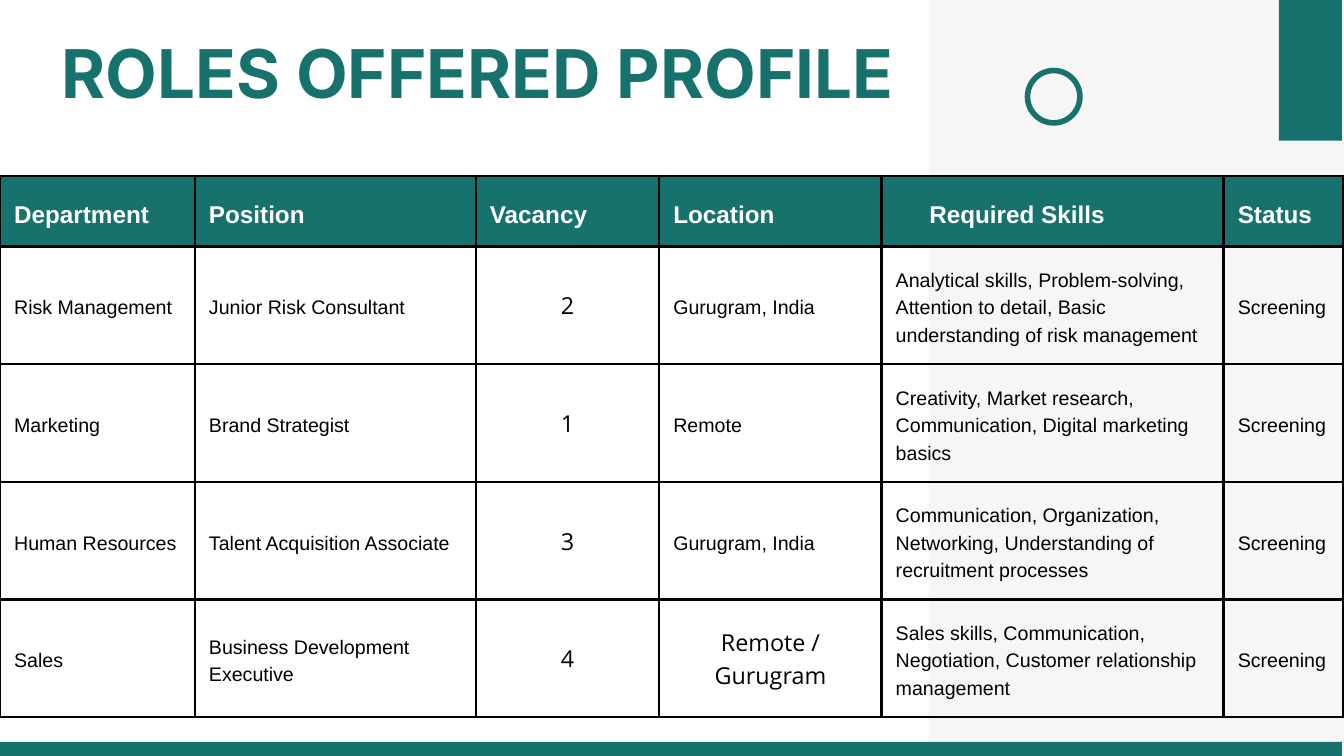
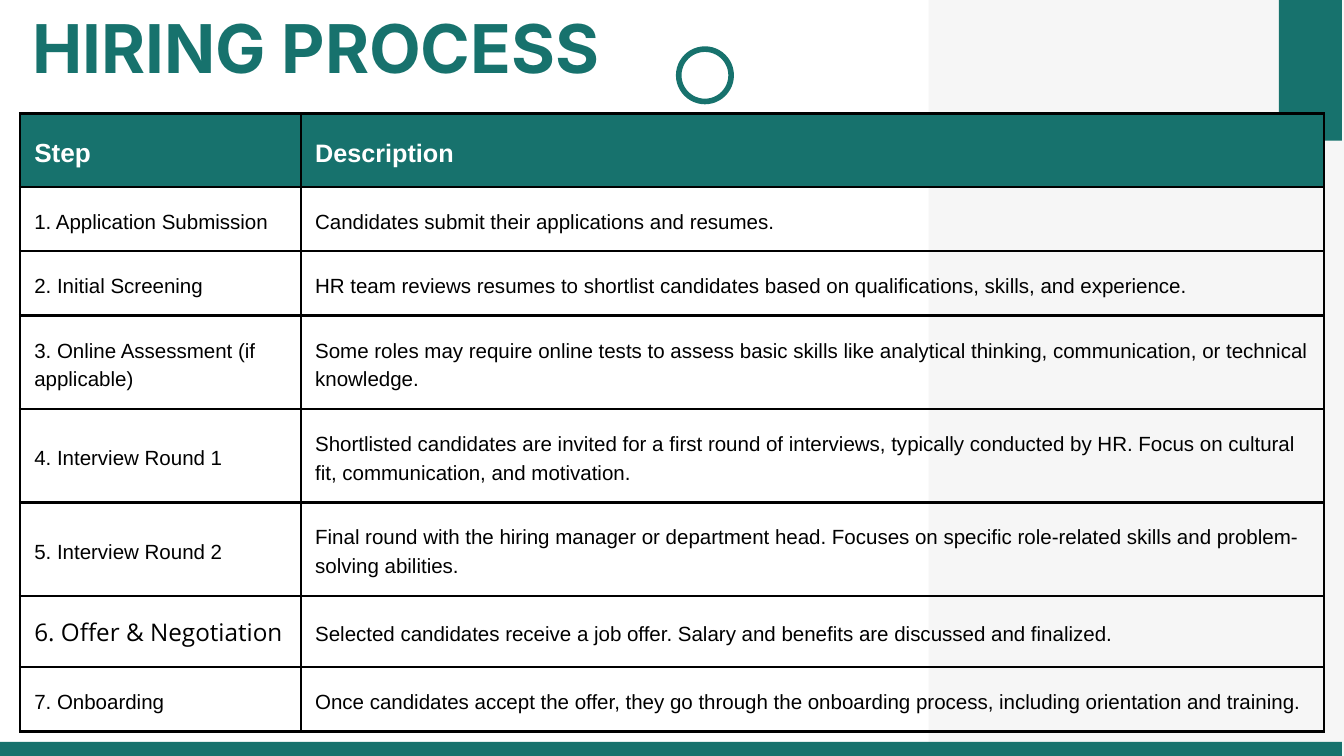
from dataclasses import dataclass

from lxml.etree import SubElement
from pptx import Presentation
from pptx.dml.color import RGBColor
from pptx.enum.shapes import MSO_SHAPE as Preset
from pptx.enum.text import MSO_ANCHOR as Anchor, PP_ALIGN as Align
from pptx.oxml.ns import qn
from pptx.util import Inches, Pt


@dataclass(frozen=True)
class Theme:
    """Colours, fonts and sizes shared by every slide."""

    accent: str = "17726D"
    panel: str = "F6F6F6"
    ink: str = "000000"
    paper: str = "FFFFFF"
    title_font: str = "Inter"
    table_font: str = "Arial"
    accent_font: str = "Open Sans"
    title_size: float = 72
    title_leading: float = 1.05
    table_leading: float = 1.4
    border: float = 3
    ring_line: float = 6
    cell_margin: float = 0.21


@dataclass(frozen=True)
class Frame:
    """A place on the slide, in percent of its width and height."""

    left: float
    top: float
    width: float
    height: float


@dataclass(frozen=True)
class TextStyle:
    """The look of one paragraph."""

    font: str
    size: float
    colour: str
    leading: float
    bold: bool = False
    align: Align = Align.LEFT


@dataclass(frozen=True)
class TableSpec:
    """A table with its grid in percent and its accented cells."""

    left: float
    top: float
    columns: tuple[float, ...]
    rows: tuple[float, ...]
    texts: tuple[tuple[str, ...], ...]
    header_sizes: tuple[float, ...]
    body_size: float
    accent_size: float
    accent_align: Align
    accent_cells: frozenset[tuple[int, int]]


@dataclass(frozen=True)
class PageSpec:
    """The content that differs from slide to slide."""

    title: str
    title_frame: Frame
    ring: Frame
    table: TableSpec


THEME = Theme()
WIDTH, HEIGHT = Inches(20), Inches(11.25)
BANDS = (
    (Frame(69.1, 0, 30.9, 100), THEME.panel),
    (Frame(95.15, 0, 4.7, 18.6), THEME.accent),
    (Frame(0, 98.13, 99.85, 1.87), THEME.accent),
)
RING_SIZE = (3.9, 6.93)

ROLES = TableSpec(
    left=0,
    top=23.29,
    columns=(14.5, 20.9, 13.65, 16.55, 25.45, 8.9),
    rows=(9.33,) + (15.56,) * 4,
    texts=(
        ("Department", "Position", "Vacancy", "Location", "\tRequired Skills", "Status"),
        ("Risk Management", "Junior Risk Consultant", "2", "Gurugram, India",
         "Analytical skills, Problem-solving, Attention to detail, Basic understanding of risk management",
         "Screening"),
        ("Marketing", "Brand Strategist", "1", "Remote",
         "Creativity, Market research, Communication, Digital marketing basics", "Screening"),
        ("Human Resources", "Talent Acquisition Associate", "3", "Gurugram, India",
         "Communication, Organization, Networking, Understanding of recruitment processes", "Screening"),
        ("Sales", "Business Development Executive", "4", "Remote / Gurugram",
         "Sales skills, Communication, Negotiation, Customer relationship management", "Screening"),
    ),
    header_sizes=(26,) * 6,
    body_size=21,
    accent_size=25,
    accent_align=Align.CENTER,
    accent_cells=frozenset({(row, 2) for row in range(1, 5)} | {(4, 3)}),
)

STEPS = TableSpec(
    left=1.5,
    top=15.02,
    columns=(20.9, 76.1),
    rows=(9.69, 8.53, 8.53, 12.36, 12.36, 12.36, 9.42, 8.53),
    texts=(
        ("Step", "Description"),
        ("1. Application Submission", "Candidates submit their applications and resumes."),
        ("2. Initial Screening",
         "HR team reviews resumes to shortlist candidates based on qualifications, skills, and experience."),
        ("3. Online Assessment (if applicable)",
         "Some roles may require online tests to assess basic skills like analytical thinking, "
         "communication, or technical knowledge."),
        ("4. Interview Round 1",
         "Shortlisted candidates are invited for a first round of interviews, typically conducted by HR. "
         "Focus on cultural fit, communication, and motivation."),
        ("5. Interview Round 2",
         "Final round with the hiring manager or department head. Focuses on specific role-related "
         "skills and problem-solving abilities."),
        ("6. Offer & Negotiation",
         "Selected candidates receive a job offer. Salary and benefits are discussed and finalized."),
        ("7. Onboarding",
         "Once candidates accept the offer, they go through the onboarding process, including "
         "orientation and training."),
    ),
    header_sizes=(28, 27),
    body_size=22,
    accent_size=26,
    accent_align=Align.LEFT,
    accent_cells=frozenset({(6, 0)}),
)

PAGES = (
    PageSpec("ROLES OFFERED PROFILE", Frame(4.6, 5.42, 66.4, 9.6), Frame(76.45, 9.33, *RING_SIZE), ROLES),
    PageSpec("HIRING PROCESS", Frame(2.4, 2.22, 68.55, 9.6), Frame(50.5, 6.5, *RING_SIZE), STEPS),
)


def across(share: float) -> int:
    """Turn a percentage of the slide width into a length."""
    return round(WIDTH * share / 100)


def down(share: float) -> int:
    """Turn a percentage of the slide height into a length."""
    return round(HEIGHT * share / 100)


def place(frame: Frame) -> tuple[int, int, int, int]:
    """Turn a frame into left, top, width and height."""
    return across(frame.left), down(frame.top), across(frame.width), down(frame.height)


def write(text_frame, text: str, style: TextStyle) -> None:
    """Write one styled paragraph."""
    text_frame.text = text
    para = text_frame.paragraphs[0]
    para.alignment = style.align
    para.line_spacing = Pt(round(style.size * style.leading, 2))
    for span in para.runs:
        span.font.name = style.font
        span.font.size = Pt(style.size)
        span.font.bold = style.bold
        span.font.color.rgb = RGBColor.from_string(style.colour)


def draw_band(page, frame: Frame, colour: str) -> None:
    """Draw a plain filled rectangle."""
    band = page.shapes.add_shape(Preset.RECTANGLE, *place(frame))
    band.shadow.inherit = False
    band.fill.solid()
    band.fill.fore_color.rgb = RGBColor.from_string(colour)
    band.line.fill.background()


def draw_ring(page, frame: Frame) -> None:
    """Draw an open circle."""
    ring = page.shapes.add_shape(Preset.OVAL, *place(frame))
    ring.shadow.inherit = False
    ring.fill.background()
    ring.line.color.rgb = RGBColor.from_string(THEME.accent)
    ring.line.width = Pt(THEME.ring_line)


def draw_title(page, text: str, frame: Frame) -> None:
    """Write the slide title."""
    text_frame = page.shapes.add_textbox(*place(frame)).text_frame
    text_frame.word_wrap = True
    text_frame.margin_left = text_frame.margin_right = 0
    text_frame.margin_top = text_frame.margin_bottom = 0
    write(text_frame, text,
          TextStyle(THEME.title_font, THEME.title_size, THEME.accent, THEME.title_leading, bold=True))


def draw_borders(cell) -> None:
    """Outline a table cell on all four sides."""
    properties = cell._tc.get_or_add_tcPr()
    for side in ("a:lnL", "a:lnR", "a:lnT", "a:lnB"):
        line = SubElement(properties, qn(side), w=str(Pt(THEME.border)))
        fill = SubElement(line, qn("a:solidFill"))
        SubElement(fill, qn("a:srgbClr"), val=THEME.ink)


def cell_style(spec: TableSpec, row: int, column: int) -> TextStyle:
    """Choose the text style for a cell by its position."""
    if row == 0:
        return TextStyle(THEME.table_font, spec.header_sizes[column], THEME.paper, THEME.table_leading, bold=True)
    if (row, column) in spec.accent_cells:
        return TextStyle(THEME.accent_font, spec.accent_size, THEME.ink, THEME.table_leading,
                         align=spec.accent_align)
    return TextStyle(THEME.table_font, spec.body_size, THEME.ink, THEME.table_leading)


def draw_table(page, spec: TableSpec) -> None:
    """Draw a bordered table with a coloured header row."""
    frame = Frame(spec.left, spec.top, sum(spec.columns), sum(spec.rows))
    table = page.shapes.add_table(len(spec.rows), len(spec.columns), *place(frame)).table
    table.first_row = table.horz_banding = False
    for column, share in zip(table.columns, spec.columns):
        column.width = across(share)
    for row, share in zip(table.rows, spec.rows):
        row.height = down(share)
    margin = Inches(THEME.cell_margin)
    for row, texts in enumerate(spec.texts):
        for column, text in enumerate(texts):
            cell = table.cell(row, column)
            cell.vertical_anchor = Anchor.MIDDLE
            cell.margin_left = cell.margin_right = cell.margin_top = cell.margin_bottom = margin
            draw_borders(cell)
            if row == 0:
                cell.fill.solid()
                cell.fill.fore_color.rgb = RGBColor.from_string(THEME.accent)
            else:
                cell.fill.background()
            write(cell.text_frame, text, cell_style(spec, row, column))


def draw_page(deck, spec: PageSpec) -> None:
    """Add one slide with its bands, ring, table and title."""
    page = deck.slides.add_slide(deck.slide_layouts[6])
    for frame, colour in BANDS:
        draw_band(page, frame, colour)
    draw_ring(page, spec.ring)
    draw_table(page, spec.table)
    draw_title(page, spec.title, spec.title_frame)


def main() -> None:
    """Build and save the deck."""
    deck = Presentation()
    deck.slide_width, deck.slide_height = WIDTH, HEIGHT
    for spec in PAGES:
        draw_page(deck, spec)
    deck.save("out.pptx")


if __name__ == "__main__":
    main()
